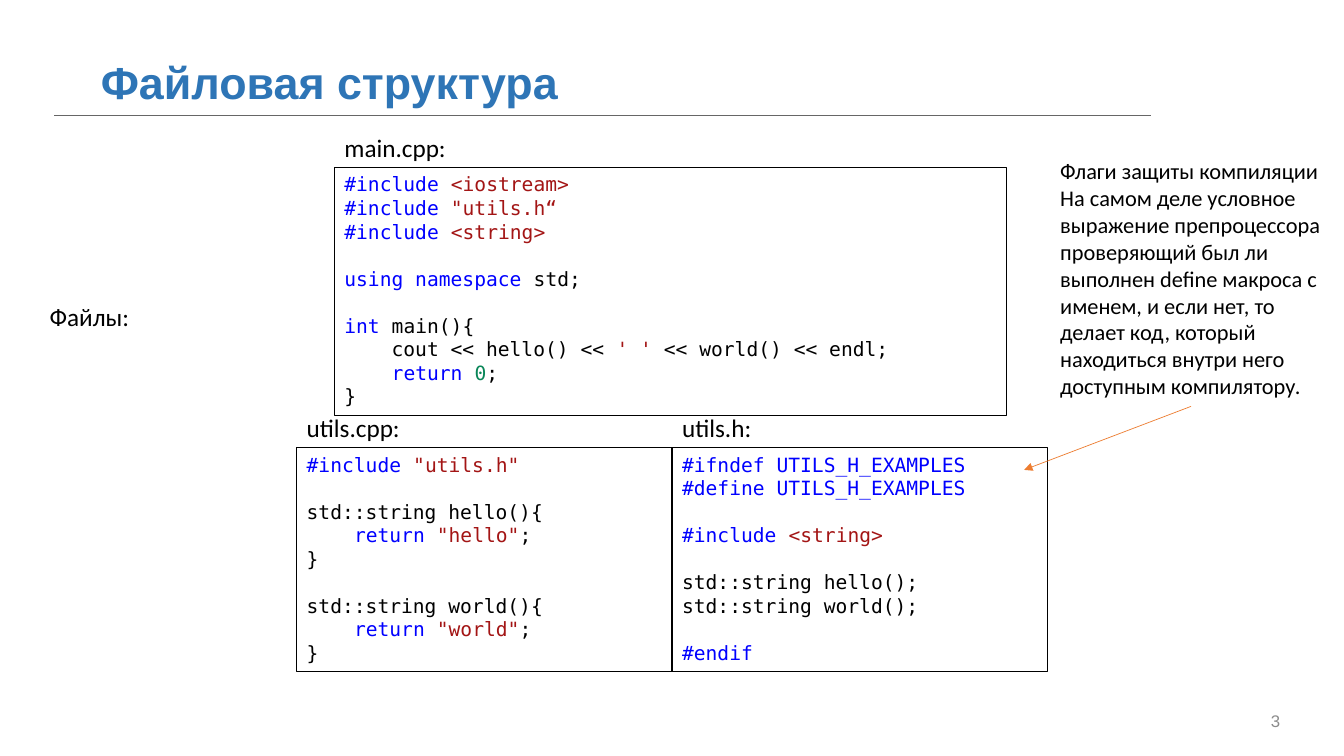
from dataclasses import dataclass
from lxml.etree import SubElement
from pptx import Presentation
from pptx.dml.color import RGBColor as Rgb
from pptx.enum.shapes import MSO_CONNECTOR as Link, MSO_SHAPE as Form
from pptx.enum.text import MSO_ANCHOR as Anchor, MSO_AUTO_SIZE as Fit, PP_ALIGN as Align
from pptx.oxml.ns import qn
from pptx.util import Cm, Pt


@dataclass(frozen=True)
class Theme:
    sans: str = "Arial"
    body: str = "Calibri"
    mono: str = "DejaVu Sans Mono"
    title: str = "2E75B6"
    rule: str = "666666"
    arrow: str = "ED7D31"
    muted: str = "8C8C8C"
    ink: str = "000000"
    paper: str = "FFFFFF"
    word: str = "0000FF"
    quote: str = "A31515"
    digit: str = "098658"
    head: float = 32
    label: float = 18
    note: float = 16
    code: float = 14
    page: float = 12
    gap: float = 16.8


T = Theme()
INK, WORD, QUOTE, DIGIT = T.ink, T.word, T.quote, T.digit
BLANK = []

MAIN = [
    [("#include ", WORD), ("<iostream>", QUOTE)],
    [("#include ", WORD), ("\"utils.h“", QUOTE)],
    [("#include ", WORD), ("<string>", QUOTE)],
    BLANK,
    [("using namespace ", WORD), ("std;", INK)],
    BLANK,
    [("int", WORD), (" main(){", INK)],
    [("    cout << hello() << ", INK), ("' '", QUOTE), (" << world() << endl;", INK)],
    [("    ", INK), ("return ", WORD), ("0", DIGIT), (";", INK)],
    [("}", INK)],
]


def greet(name):
    return [
        BLANK,
        [(f"std::string {name}(){{", INK)],
        [("    ", INK), ("return ", WORD), (f'"{name}"', QUOTE), (";", INK)],
        [("}", INK)],
    ]


SOURCE = [[("#include ", WORD), ('"utils.h"', QUOTE)], *greet("hello"), *greet("world")]

HEADER = [
    [("#ifndef UTILS_H_EXAMPLES", WORD)],
    [("#define UTILS_H_EXAMPLES", WORD)],
    BLANK,
    [("#include ", WORD), ("<string>", QUOTE)],
    BLANK,
    [("std::string hello();", INK)],
    [("std::string world();", INK)],
    BLANK,
    [("#endif", WORD)],
]

NOTE = [
    "Флаги защиты компиляции",
    "На самом деле условное выражение препроцессора проверяющий был ли выполнен "
    "define макроса с именем, и если нет, то делает код, который находиться внутри "
    "него доступным компилятору.",
]


def add_run(para, text, face, size, color, bold=False):
    run = para.add_run()
    run.text = text
    run.font.name = face
    run.font.size = Pt(size)
    run.font.bold = bold
    run.font.color.rgb = Rgb.from_string(color)


def next_para(frame, first):
    return frame.paragraphs[0] if first else frame.add_paragraph()


def add_text(shapes, place, lines, size, face=T.body, color=INK, bold=False,
             anchor=Anchor.TOP, align=Align.LEFT):
    box = shapes.add_textbox(*map(Cm, place))
    frame = box.text_frame
    frame.word_wrap = True
    frame.vertical_anchor = anchor
    for i, line in enumerate(lines):
        para = next_para(frame, i == 0)
        para.alignment = align
        add_run(para, line, face, size, color, bold)
    return box


def add_label(shapes, left, top, text):
    add_text(shapes, (left, top, 4, 1.02), [text], T.label)


def add_code(shapes, name, place, lines):
    left, top, width, height = place
    box = shapes.add_shape(Form.RECTANGLE, *map(Cm, place))
    box.shadow.inherit = False
    box.fill.solid()
    box.fill.fore_color.rgb = Rgb.from_string(T.paper)
    box.line.color.rgb = Rgb.from_string(INK)
    box.line.width = Pt(1)
    frame = box.text_frame
    frame.word_wrap = True
    frame.auto_size = Fit.SHAPE_TO_FIT_TEXT
    frame.vertical_anchor = Anchor.TOP
    for i, line in enumerate(lines):
        if line == BLANK:
            continue
        para = next_para(frame, i == 0)
        para.alignment = Align.LEFT
        if i and lines[i - 1] == BLANK:
            para.space_before = Pt(T.gap)
        for text, color in line:
            add_run(para, text, T.mono, T.code, color)
    add_label(shapes, left, top - 1.02, name)


def add_line(shapes, start, end, color):
    line = shapes.add_connector(Link.STRAIGHT, *map(Cm, start + end))
    line.line.color.rgb = Rgb.from_string(color)
    line.line.width = Pt(0.5)
    SubElement(line._element.spPr, qn("a:effectLst"))
    return line


def add_arrow(shapes, box, end):
    line = add_line(shapes, (30, 10.24), end, T.arrow)
    line.begin_connect(box, 2)
    SubElement(line.line._get_or_add_ln(), qn("a:tailEnd"), type="triangle")


def main():
    deck = Presentation()
    deck.slide_width, deck.slide_height = Cm(33.87), Cm(19.05)
    shapes = deck.slides.add_slide(deck.slide_layouts[6]).shapes

    add_text(shapes, (2.29, 1.35, 21.46, 1.4), ["Файловая структура"], T.head,
             T.sans, T.title, bold=True, anchor=Anchor.MIDDLE)
    add_line(shapes, (1.37, 2.9), (29.01, 2.9), T.rule)
    add_text(shapes, (29.21, 17.65, 3.3, 1.02), ["3"], T.page, T.sans, T.muted,
             anchor=Anchor.MIDDLE, align=Align.RIGHT)
    add_label(shapes, 1, 7.47, "Файлы:")

    pair = shapes.add_group_shape().shapes
    left, width = 7.48, 9.46
    for i, (name, lines) in enumerate([("utils.cpp:", SOURCE), ("utils.h:", HEADER)]):
        add_code(pair, name, (left + i * width, 11.28, width, 5.64), lines)

    note = add_text(shapes, (26.47, 3.84, 7.09, 6.4), NOTE, T.note)
    add_arrow(shapes, note, (25.81, 11.84))

    add_code(shapes.add_group_shape().shapes, "main.cpp:", (8.43, 4.22, 16.94, 6.25), MAIN)

    deck.save("out.pptx")


if __name__ == "__main__":
    main()
